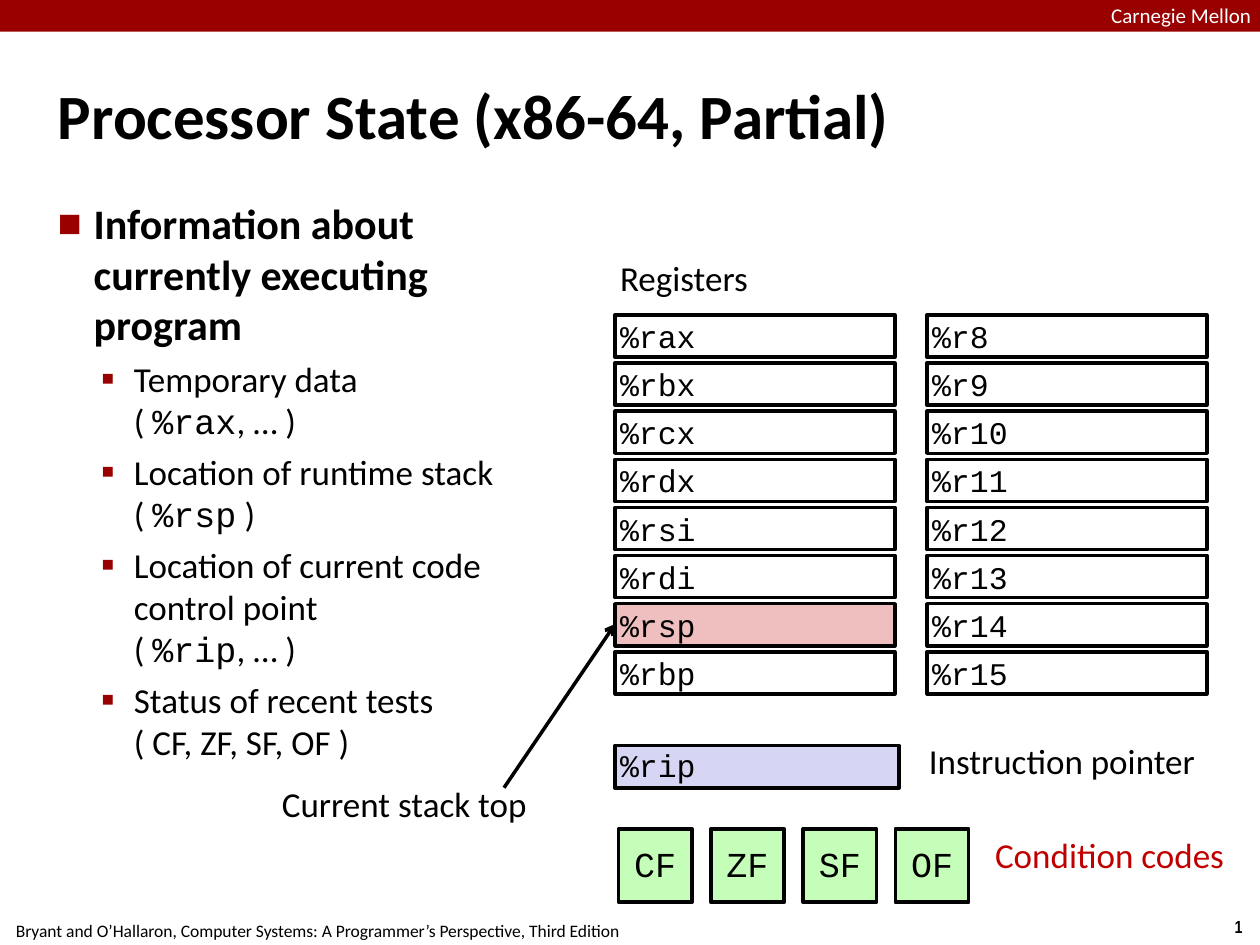
from lxml.etree import SubElement
from pptx import Presentation
from pptx.dml.color import RGBColor
from pptx.enum.shapes import MSO_CONNECTOR, MSO_SHAPE
from pptx.enum.text import MSO_ANCHOR, PP_ALIGN
from pptx.oxml.ns import qn
from pptx.util import Cm, Pt

COLORS = {
    "black": "000000", "white": "FFFFFF", "banner": "990000",
    "stack": "EFBFBF", "pointer": "D6D6F4", "flag": "C5FEB8",
    "codes": "C00000",
}
SANS, MONO = "Calibri", "Courier New"

presentation = Presentation()
presentation.slide_width, presentation.slide_height = Cm(25.4), Cm(19.05)
slide = presentation.slides.add_slide(presentation.slide_layouts[6])


def add_run(paragraph, text, size, font=SANS, color="black", bold=False):
    run = paragraph.add_run()
    run.text = text
    for key, value in {"size": Pt(size), "name": font, "bold": bold}.items():
        setattr(run.font, key, value)
    run.font.color.rgb = RGBColor.from_string(COLORS[color])


def add_box(place, text="", size=20, font=SANS, color="black", bold=False, fill=None,
            outlined=False, align=PP_ALIGN.LEFT, anchor=MSO_ANCHOR.TOP, inset=0.1,
            wrap=True):
    place = [Cm(length) for length in place]
    if fill or outlined:
        box = slide.shapes.add_shape(MSO_SHAPE.RECTANGLE, *place)
        box.shadow.inherit = False
        if fill:
            box.fill.solid()
            box.fill.fore_color.rgb = RGBColor.from_string(COLORS[fill])
        else:
            box.fill.background()
        if outlined:
            box.line.color.rgb = RGBColor.from_string(COLORS["black"])
            box.line.width = Pt(2)
        else:
            box.line.fill.background()
    else:
        box = slide.shapes.add_textbox(*place)
    frame_format = {"word_wrap": wrap, "vertical_anchor": anchor}
    for side in ("left", "top", "right", "bottom"):
        frame_format[f"margin_{side}"] = Cm(inset)
    for key, value in frame_format.items():
        setattr(box.text_frame, key, value)
    paragraph = box.text_frame.paragraphs[0]
    paragraph.alignment = align
    if text:
        add_run(paragraph, text, size, font, color, bold)
    return box


# Footer, banner and title
add_box((24.54, 18.34, 0.86, 0.69), "1", 10, "Arial Narrow", bold=True,
        align=PP_ALIGN.CENTER, inset=0.13, wrap=False)
add_box((-0.05, 18.42, 12.9, 0.69),
        "Bryant and O’Hallaron, Computer Systems: A Programmer’s Perspective, Third Edition",
        10, align=PP_ALIGN.CENTER, inset=0.13, wrap=False)
add_box((0, 0, 25.42, 0.64), fill="banner")
add_box((22.4, 0.05, 3.66, 0.48), "Carnegie Mellon", 12, color="white", inset=0)
add_box((1.07, 0.71, 23.29, 3.18), "Processor State (x86-64, Partial)", 36, bold=True,
        anchor=MSO_ANCHOR.MIDDLE)

# Outline: level, then lines made of (text, font) pieces
outline = [
    (0, [[("Information about currently executing program", SANS)]]),
    (1, [[("Temporary data", SANS)],
         [("( ", SANS), ("%rax", MONO), (", … )", SANS)]]),
    (1, [[("Location of runtime stack", SANS)],
         [("( ", SANS), ("%rsp", MONO), (" )", SANS)]]),
    (1, [[("Location of current code control point", SANS)],
         [("( ", SANS), ("%rip", MONO), (", … )", SANS)]]),
    (1, [[("Status of recent tests", SANS)], [("( CF, ZF, SF, OF )", SANS)]]),
]
levels = [
    {"size": 24, "bold": True, "before": 0, "left": 0.72, "hang": 0.72,
     "bullet": "■", "scale": 60},
    {"size": 20, "bold": False, "before": 5, "left": 1.53, "hang": 0.66,
     "bullet": "▪", "scale": 110},
]
outline_frame = add_box((1.07, 3.89, 9.27, 15.09)).text_frame
for index, (level, lines) in enumerate(outline):
    look = levels[level]
    item = outline_frame.add_paragraph() if index else outline_frame.paragraphs[0]
    item.level = level
    item.space_before = Pt(look["before"])
    properties = item._p.get_or_add_pPr()
    properties.set("marL", str(Cm(look["left"])))
    properties.set("indent", str(-Cm(look["hang"])))
    bullet_color = SubElement(properties, qn("a:buClr"))
    SubElement(bullet_color, qn("a:srgbClr"), val=COLORS["banner"])
    SubElement(properties, qn("a:buSzPct"), val=str(look["scale"] * 1000))
    SubElement(properties, qn("a:buFont"), typeface=SANS)
    SubElement(properties, qn("a:buChar"), char=look["bullet"])
    for number, line in enumerate(lines):
        if number:
            item.add_line_break()
        for text, font in line:
            add_run(item, text, look["size"], font, bold=look["bold"])

# Labels
add_box((12.4, 5.08, 2.84, 1.07), "Registers", wrap=False)
add_box((5.51, 15.67, 5.28, 1.07), "Current stack top", align=PP_ALIGN.CENTER, wrap=False)
add_box((18.54, 14.81, 5.74, 1.07), "Instruction pointer", align=PP_ALIGN.CENTER,
        wrap=False)
add_box((19.96, 16.71, 5, 1.24), "Condition codes", color="codes")

# Register file
register_columns = [
    (12.4, ["%rax", "%rbx", "%rcx", "%rdx", "%rsi", "%rdi", "%rsp", "%rbp"]),
    (18.69, [f"%r{number}" for number in range(8, 16)]),
]
for left, registers in register_columns:
    for row, register in enumerate(registers):
        add_box((left, 6.35 + 0.97 * row, 5.64, 0.85), register, 18, MONO,
                fill="stack" if register == "%rsp" else None, outlined=True,
                anchor=MSO_ANCHOR.MIDDLE)

# Instruction pointer and condition flags
pointer = add_box((12.4, 15.03, 5.72, 0.86), "%rip", 18, MONO, fill="pointer",
                  outlined=True, anchor=MSO_ANCHOR.MIDDLE)
pointer.text_frame.paragraphs[0].line_spacing = 0.95
for column, flag in enumerate(["CF", "ZF", "SF", "OF"]):
    flag_box = add_box((12.47 + 1.86 * column, 16.71, 1.48, 1.48), flag, 20, MONO,
                       fill="flag", outlined=True, align=PP_ALIGN.CENTER,
                       anchor=MSO_ANCHOR.MIDDLE)
    flag_box.text_frame.paragraphs[0].line_spacing = 0.95

# Arrow from the stack top label to %rsp
stack_arrow = slide.shapes.add_connector(
    MSO_CONNECTOR.STRAIGHT, Cm(10.16), Cm(15.88), Cm(12.4), Cm(12.58))
stack_arrow.line.color.rgb = RGBColor.from_string(COLORS["black"])
stack_arrow.line.width = Pt(2)
SubElement(stack_arrow.line._get_or_add_ln(), qn("a:tailEnd"), type="arrow")
SubElement(stack_arrow._element.spPr, qn("a:effectLst"))

presentation.save("out.pptx")
